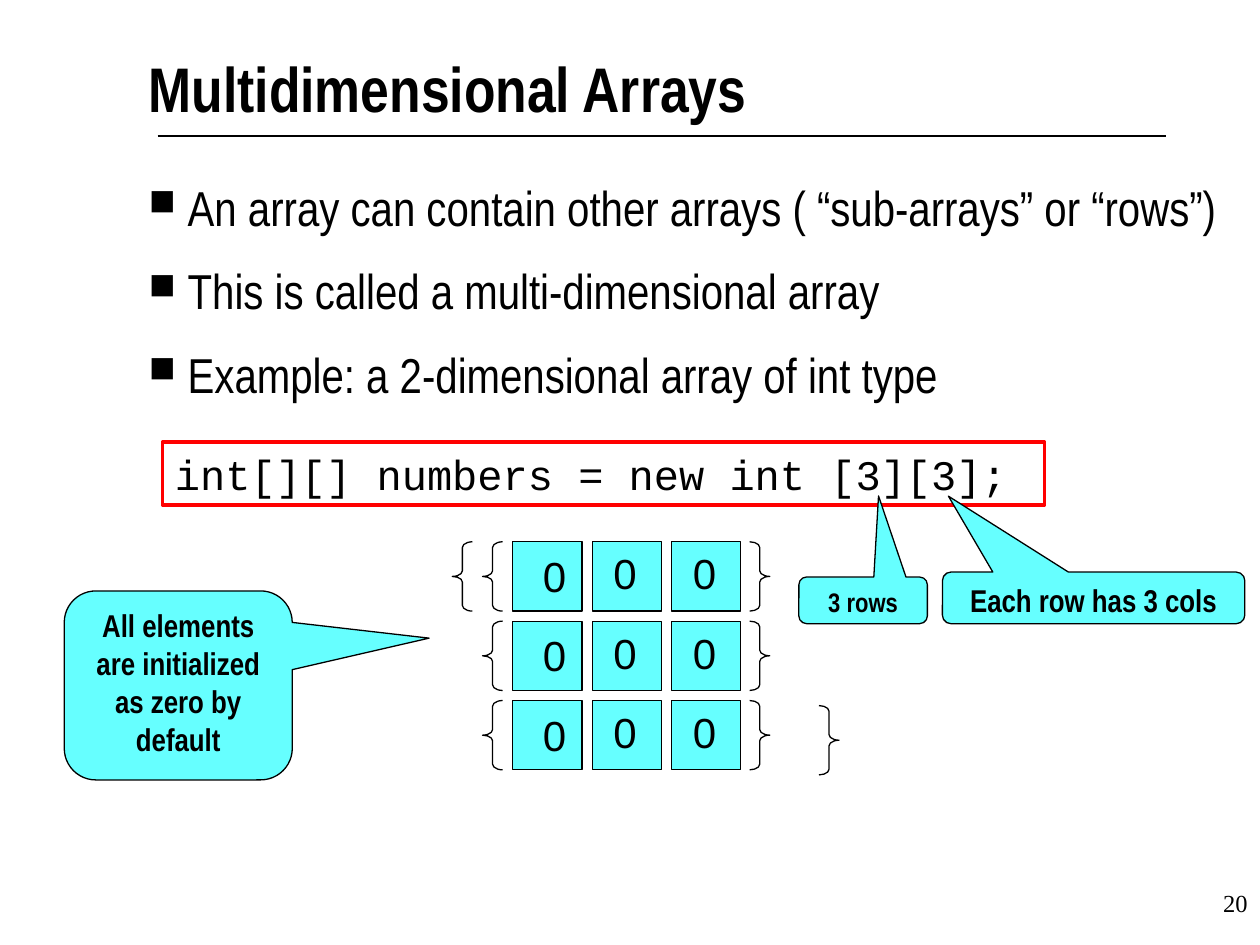
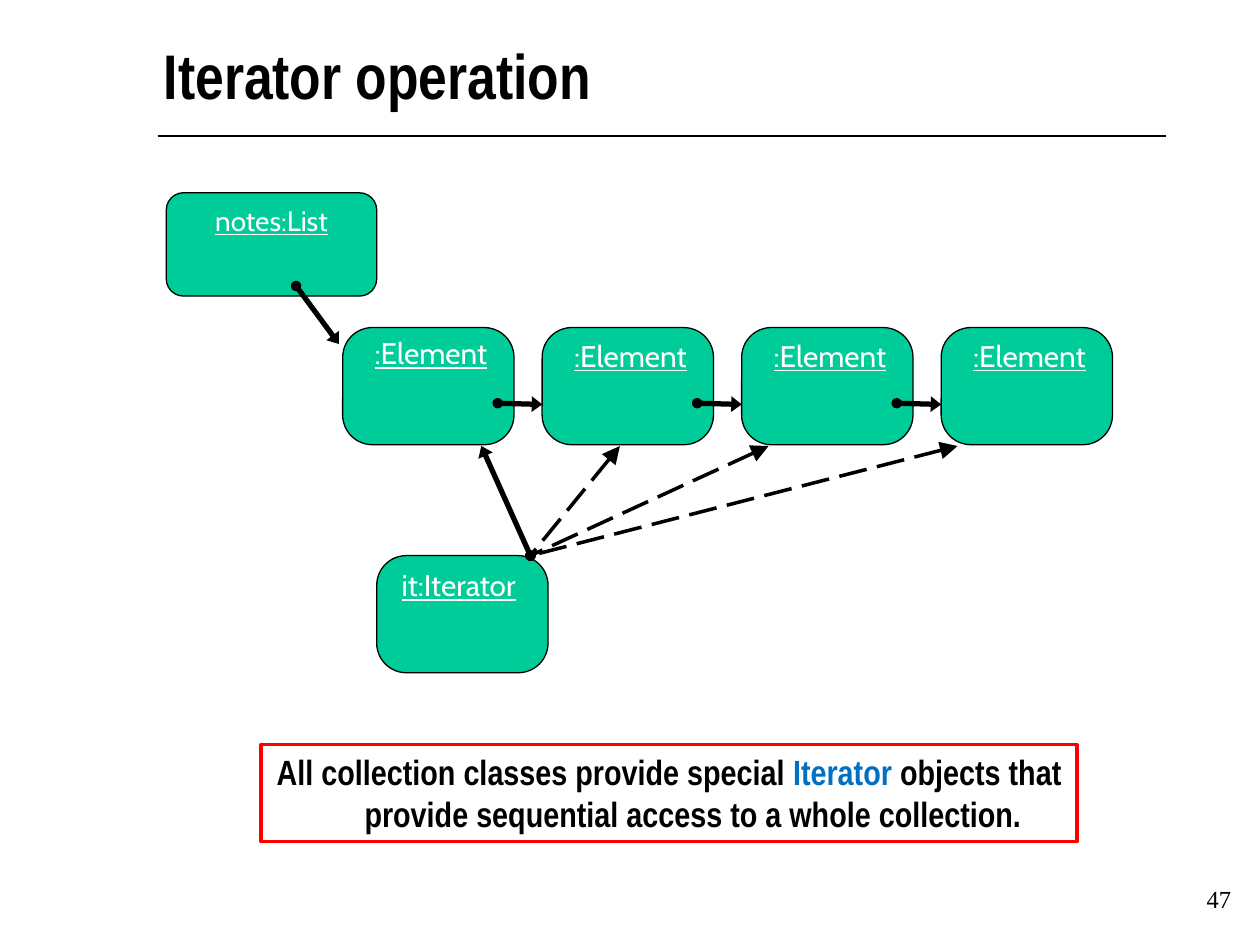
from collections import namedtuple
from dataclasses import dataclass
from itertools import product

from lxml import etree
from pptx import Presentation
from pptx import util as u
from pptx.dml.color import RGBColor
from pptx.enum import dml, shapes, text
from pptx.oxml import ns

PX = 9144  # 100 px to the inch
Box = namedtuple("Box", "left top width height")
Point = namedtuple("Point", "x y")
Style = namedtuple("Style", "font size color bold underline", defaults=("000000", False, False))


@dataclass(frozen=True)
class Theme:
    ink: str = "000000"
    paper: str = "FFFFFF"
    cyan: str = "66FFFF"
    green: str = "00CC99"
    red: str = "FF0000"
    thin: float = 0.75
    frame: float = 2
    dashed: float = 2
    arrow: float = 3
    title: Style = Style("Arial Narrow", 36, bold=True)
    body: Style = Style("Arial Narrow", 28)
    code: Style = Style("Courier New", 24)
    digit: Style = Style("Arial", 24)
    callout: Style = Style("Arial Narrow", 18, bold=True)
    small_callout: Style = Style("Arial Narrow", 15.3, bold=True)
    list_name: Style = Style("Cabin", 16, "FFFFFF", underline=True)
    object_name: Style = Style("Cabin", 17, "FFFFFF", underline=True)
    note: Style = Style("Arial Narrow", 20, bold=True)
    note_accent: Style = Style("Arial Narrow", 20, "0070C0", bold=True)
    page: Style = Style("Times New Roman", 14)


THEME = Theme()
INSETS = (10, 5, 10, 5)
NO_INSETS = (0, 0, 0, 0)
LEFT, CENTER, RIGHT = text.PP_ALIGN.LEFT, text.PP_ALIGN.CENTER, text.PP_ALIGN.RIGHT
TOP, MIDDLE = text.MSO_ANCHOR.TOP, text.MSO_ANCHOR.MIDDLE
KIND = shapes.MSO_SHAPE


def px(*lengths):
    return [u.Emu(round(length * PX)) for length in lengths]


def add_run(paragraph, words, style):
    run = paragraph.add_run()
    run.text = words
    run.font.name = style.font
    run.font.size = u.Pt(style.size)
    run.font.bold = style.bold
    run.font.underline = style.underline
    run.font.color.rgb = RGBColor.from_string(style.color)


def set_indent(paragraph, hanging):
    properties = paragraph._p.get_or_add_pPr()
    offset, = px(hanging)
    properties.set("marL", str(offset))
    properties.set("indent", str(-offset))
    return properties


def write(shape, runs, align=LEFT, insets=INSETS, anchor=TOP):
    """Fill the first paragraph with (words, style) runs and return it."""
    frame = shape.text_frame
    frame.word_wrap = True
    frame.vertical_anchor = anchor
    frame.margin_left, frame.margin_top, frame.margin_right, frame.margin_bottom = px(*insets)
    paragraph = frame.paragraphs[0]
    paragraph.alignment = align
    for words, style in runs:
        add_run(paragraph, words, style)
    return paragraph


def add_label(slide, box, words, style, align=CENTER, insets=NO_INSETS, anchor=TOP):
    label = slide.shapes.add_textbox(*px(*box))
    write(label, [(words, style)], align, insets, anchor)
    return label


def add_figure(slide, kind, box, fill=None, line=THEME.ink, weight=THEME.thin, adjust=()):
    shape = slide.shapes.add_shape(kind, *px(*box))
    shape.shadow.inherit = False
    if fill:
        shape.fill.solid()
        shape.fill.fore_color.rgb = RGBColor.from_string(fill)
    else:
        shape.fill.background()
    shape.line.color.rgb = RGBColor.from_string(line)
    shape.line.width = u.Pt(weight)
    for index, value in enumerate(adjust):
        shape.adjustments[index] = value
    return shape


def add_line(slide, start, end, weight, dash=None, ends=()):
    """Draw a line; ends lists (tag, type, width, length) in headEnd, tailEnd order."""
    line = slide.shapes.add_connector(shapes.MSO_CONNECTOR.STRAIGHT, *px(*start, *end))
    line.line.color.rgb = RGBColor.from_string(THEME.ink)
    line.line.width = u.Pt(weight)
    if dash:
        line.line.dash_style = dash
    outline = line.line._get_or_add_ln()
    for tag, kind, width, length in ends:
        etree.SubElement(outline, ns.qn("a:" + tag), type=kind, w=width, len=length)
    etree.SubElement(line._element.spPr, ns.qn("a:effectLst"))


def add_arrow(slide, start, end):
    add_line(slide, start, end, THEME.arrow,
             ends=[("headEnd", "oval", "sm", "sm"), ("tailEnd", "triangle", "med", "sm")])


def add_dashed_arrow(slide, tip, origin):
    add_line(slide, tip, origin, THEME.dashed, dml.MSO_LINE.LONG_DASH,
             [("headEnd", "triangle", "lg", "lg"), ("tailEnd", "oval", "med", "med")])


def add_base(presentation, title, title_box, anchor, number, number_box):
    """Start a slide with its title, the rule below it and the page number."""
    slide = presentation.slides.add_slide(presentation.slide_layouts[6])
    add_line(slide, Point(125, 108), Point(925, 108), THEME.thin)
    add_label(slide, number_box, number, THEME.page, RIGHT, INSETS)
    add_label(slide, title_box, title, THEME.title, LEFT, anchor=anchor)
    return slide


def add_bullets(slide, box, items):
    body = slide.shapes.add_textbox(*px(*box))
    first = write(body, [], insets=NO_INSETS)
    for index, item in enumerate(items):
        paragraph = body.text_frame.add_paragraph() if index else first
        properties = set_indent(paragraph, 31)
        if index:
            paragraph.space_before = u.Pt(14)
        color = etree.SubElement(properties, ns.qn("a:buClr"))
        etree.SubElement(color, ns.qn("a:srgbClr"), val=THEME.ink)
        etree.SubElement(properties, ns.qn("a:buSzPct"), val="75000")
        etree.SubElement(properties, ns.qn("a:buChar"), char="■")
        add_run(paragraph, item, THEME.body)


def add_framed_text(slide, box, runs, align):
    frame = add_figure(slide, KIND.RECTANGLE, box, THEME.paper, THEME.red, THEME.frame)
    return write(frame, runs, align)


def add_brace(slide, kind, left, top):
    add_figure(slide, kind, Box(left, top, 16, 55), adjust=(0.28, 0.5))


def add_matrix(slide, box, count=3, gap=8):
    """Draw a square of zero cells with braces round each row and round them all."""
    cell = (box.width - gap * (count - 1)) / count
    pitch = cell + gap
    for row in range(count):
        top = box.top + row * pitch
        add_brace(slide, KIND.LEFT_BRACE, box.left - 24, top)
        add_brace(slide, KIND.RIGHT_BRACE, box.left + box.width + 7, top)
    add_brace(slide, KIND.LEFT_BRACE, box.left - 48, box.top)
    add_brace(slide, KIND.RIGHT_BRACE, box.left + box.width + 62, box.top + 130)
    for row, column in product(range(count), repeat=2):
        left, top = box.left + column * pitch, box.top + row * pitch
        add_figure(slide, KIND.RECTANGLE, Box(left, top, cell, cell), THEME.cyan)
        shift, drop = (7, 0) if column else (14, 2)
        add_label(slide, Box(left + shift, top + drop, 38, 50), "0", THEME.digit, insets=INSETS)


def add_callout(slide, box, words, style, tip):
    """Draw a callout whose tip is given as shares of the box from its centre."""
    shape = add_figure(slide, KIND.ROUNDED_RECTANGULAR_CALLOUT, box, THEME.cyan,
                       adjust=(*tip, 0.167))
    write(shape, [(words, style)], CENTER)


def add_object(slide, box, name, label_shift):
    add_figure(slide, KIND.ROUNDED_RECTANGLE, box, THEME.green, adjust=(0.254,))
    shift, drop = label_shift
    add_label(slide, Box(box.left + shift, box.top + drop, 128, 39), name, THEME.object_name)


def add_element_chain(slide, box, count=4, width=136):
    """Draw the linked elements and the arrows between them."""
    pitch = (box.width - width) / (count - 1)
    lefts = [box.left + index * pitch for index in range(count)]
    for index, left in enumerate(lefts):
        add_object(slide, Box(left, box.top, width, box.height), ":Element",
                   (6, 8 if index else 6))
    for left, following in zip(lefts, lefts[1:]):
        add_arrow(slide, Point(left + 123, box.top + 60), Point(following, box.top + 61))


def add_iterator(slide, box, current, upcoming):
    """Draw the iterator, its arrow to the current element and dashed ones to the next."""
    origin = Point(box.left + 122, box.top)
    add_object(slide, box, "it:Iterator", (1, 9))
    add_arrow(slide, origin, current)
    for tip in upcoming:
        add_dashed_arrow(slide, tip, origin)


def add_list(slide, box, first_element):
    shape = add_figure(slide, KIND.ROUNDED_RECTANGLE, box, THEME.green, adjust=(0.167,))
    write(shape, [("notes:List", THEME.list_name)], CENTER)
    add_arrow(slide, Point(box.left + 103, box.top + 74), first_element)


def build_arrays_slide(presentation):
    slide = add_base(presentation, "Multidimensional Arrays", Box(118, 39, 765, 75), TOP,
                     "20", Box(792, 700, 208, 50))
    add_bullets(slide, Box(118, 141, 862, 525), [
        "An array can contain other arrays ( “sub-arrays” or “rows”)",
        "This is called a multi-dimensional array",
        "Example: a 2-dimensional array of int type",
    ])
    add_framed_text(slide, Box(129, 351, 700, 50),
                    [("int[][] numbers = new int [3][3];", THEME.code)], LEFT)
    add_matrix(slide, Box(407, 430, 181, 181))
    add_callout(slide, Box(51, 469, 181, 150), "All elements are initialized as zero by default",
                THEME.callout, (1.1, -0.25))
    add_callout(slide, Box(634, 458, 102, 37), "3 rows", THEME.small_callout, (0.12, -2.24))
    add_callout(slide, Box(748, 454, 240, 41), "Each row has 3 cols", THEME.callout,
                (-0.48, -1.97))


def build_iterator_slide(presentation):
    slide = add_base(presentation, "Iterator operation", Box(130, 27, 421, 64), MIDDLE,
                     "47", Box(779, 697, 208, 50))
    add_element_chain(slide, Box(272, 260, 611, 93))
    add_list(slide, Box(132, 153, 167, 82), Point(269, 273))
    add_iterator(slide, Box(299, 441, 136, 93), Point(382, 354),
                 [Point(x, 354) for x in (492, 610, 760)])
    note = add_framed_text(slide, Box(207, 591, 648, 77), [
        ("All collection classes provide special ", THEME.note),
        ("Iterator ", THEME.note_accent),
        ("objects that provide sequential access to a whole collection.", THEME.note),
    ], CENTER)
    set_indent(note, 38)


def main():
    presentation = Presentation()
    presentation.slide_width, presentation.slide_height = px(1000, 750)
    build_arrays_slide(presentation)
    build_iterator_slide(presentation)
    presentation.save("out.pptx")


if __name__ == "__main__":
    main()
